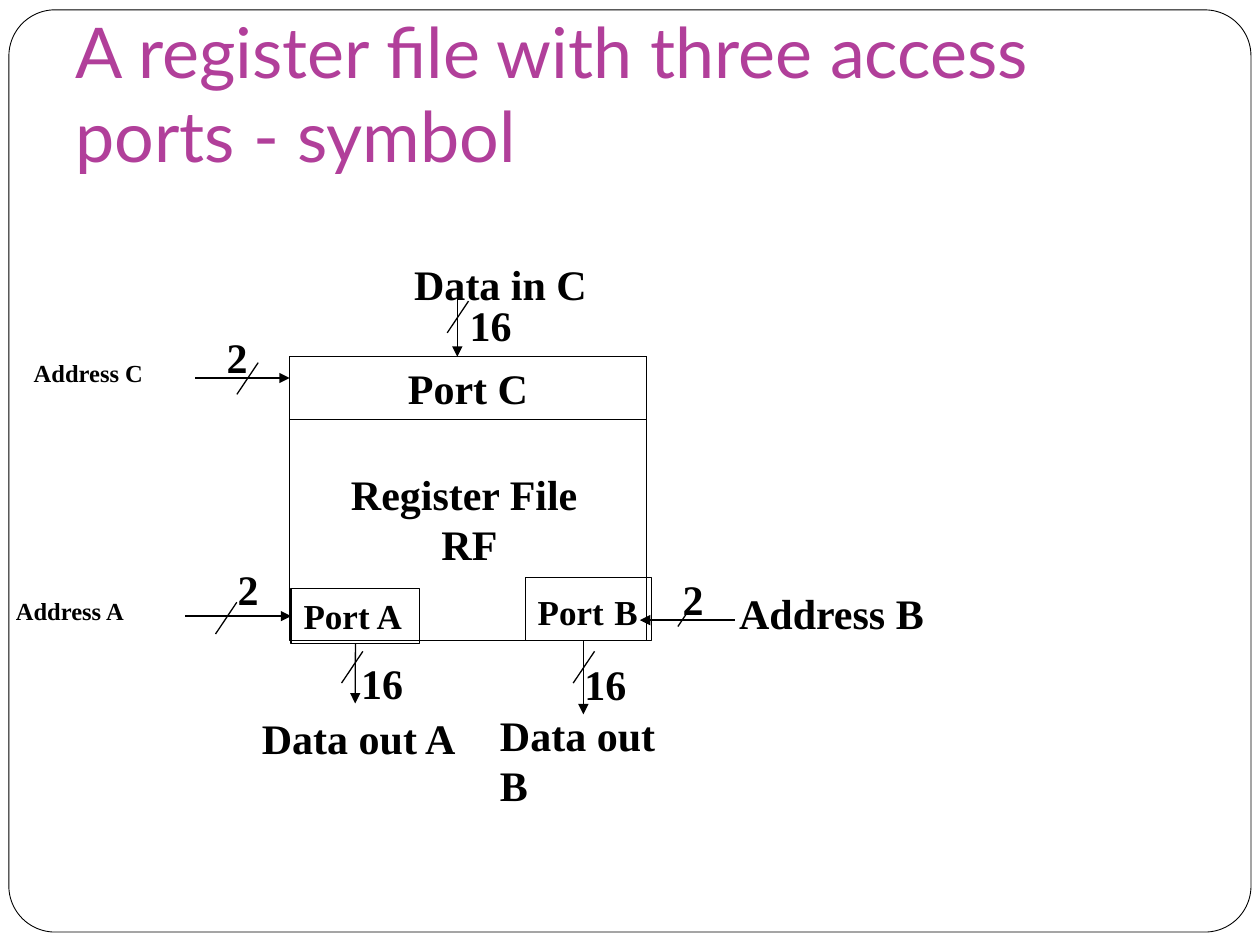
from lxml.etree import SubElement
from pptx import Presentation
from pptx.dml.color import RGBColor
from pptx.enum.shapes import MSO_CONNECTOR, MSO_SHAPE
from pptx.enum.text import MSO_ANCHOR, MSO_AUTO_SIZE, PP_ALIGN
from pptx.oxml.ns import qn
from pptx.util import Cm, Pt

BLACK = RGBColor(0x00, 0x00, 0x00)
WHITE = RGBColor(0xFF, 0xFF, 0xFF)
MAGENTA = RGBColor(0xB1, 0x3F, 0x9A)
LEFT, BOTTOM = 1, 2
SLASH_WIDTH, SLASH_HEIGHT = 0.43, 0.64


def write(shape, text, size=24, font="Times New Roman", color=BLACK, bold=True,
          align=PP_ALIGN.LEFT, new_paragraph=False):
    """Append a formatted run to the last paragraph of a shape, or to a new one."""
    frame = shape.text_frame
    paragraph = frame.add_paragraph() if new_paragraph else frame.paragraphs[-1]
    paragraph.alignment = align
    run = paragraph.add_run()
    run.text = text
    run.font.name = font
    run.font.size = Pt(size)
    run.font.bold = bold
    run.font.color.rgb = color


def add_label(slide, left, top, width, height, text, **style):
    """Add an unwrapped text box and return it."""
    label = slide.shapes.add_textbox(Cm(left), Cm(top), Cm(width), Cm(height))
    label.text_frame.word_wrap = False
    write(label, text, **style)
    return label


def add_block(slide, left, top, width, height, kind=MSO_SHAPE.RECTANGLE, line_width=0.75):
    """Add an unfilled outlined shape whose text starts at the top."""
    block = slide.shapes.add_shape(kind, Cm(left), Cm(top), Cm(width), Cm(height))
    block.shadow.inherit = False
    block.fill.background()
    block.line.color.rgb = BLACK
    block.line.width = Pt(line_width)
    block.text_frame.vertical_anchor = MSO_ANCHOR.TOP
    return block


def add_line(slide, start, end, arrow=False):
    """Add a thin straight line, with an arrowhead at its end if asked."""
    line = slide.shapes.add_connector(
        MSO_CONNECTOR.STRAIGHT, *(Cm(value) for value in (*start, *end)))
    line.line.color.rgb = BLACK
    line.line.width = Pt(0.75)
    if arrow:
        SubElement(line.line._get_or_add_ln(), qn("a:tailEnd"), type="triangle")
    SubElement(line.element.spPr, qn("a:effectLst"))
    return line


def add_bus(slide, left, top, start, end, slash, bits, bits_at):
    """Add a bus arrow with its slash and bit count, offset from a corner."""
    def place(point):
        return left + point[0], top + point[1]

    x, y = place(slash)
    dx, dy = SLASH_WIDTH / 2, SLASH_HEIGHT / 2
    arrow = add_line(slide, place(start), place(end), arrow=True)
    add_line(slide, (x + dx, y - dy), (x - dx, y + dy))
    add_label(slide, *place(bits_at), 0.91 if bits < 10 else 1.35, 1.27, str(bits))
    return arrow


def add_title(slide, left, top, width, height):
    """Fill and place the title placeholder."""
    title = slide.shapes.title
    title.left, title.top, title.width, title.height = (
        Cm(value) for value in (left, top, width, height))
    frame = title.text_frame
    frame.auto_size = MSO_AUTO_SIZE.NONE
    frame.word_wrap = True
    frame.vertical_anchor = MSO_ANCHOR.BOTTOM
    frame.margin_bottom = Cm(0.25)
    write(title, "A register file with three access ports - symbol",
          size=40, font="Lato", color=MAGENTA, bold=False)


def add_page_frame(slide, left, top, width, height):
    """Add the rounded page border behind the title."""
    border = add_block(slide, left, top, width, height, MSO_SHAPE.ROUNDED_RECTANGLE, 0.5)
    border.adjustments[0] = 0.05
    border.fill.solid()
    border.fill.fore_color.rgb = WHITE
    slide.shapes.title.element.addprevious(border.element)


def add_register_file(slide, left, top, width, height):
    """Draw the register file in its box, with the ports and buses around it."""
    port_c = add_block(slide, left, top, width, 1.27)
    write(port_c, "Port C", align=PP_ALIGN.CENTER)
    port_a = add_block(slide, left + 0.03, top + 4.67, 2.59, 1.12)
    write(port_a, "Port A", size=20)
    port_b = add_block(slide, left + 4.75, top + 4.45, 2.54, 1.27)
    for text, size in (("Port", 20), (" ", 24), ("B", 20)):
        write(port_b, text, size=size)
    add_block(slide, left, top, width, height)

    name = add_label(slide, left + 0.97, top + 2.13, 5.31, 2.29,
                     "Register File ", align=PP_ALIGN.CENTER)
    write(name, "RF", align=PP_ALIGN.CENTER, new_paragraph=True)

    address_a = add_bus(slide, left, top, (-2.11, 5.23), (0.03, 5.23),
                        (-1.28, 5.27), 2, (-1.3, 4.04))
    address_a.end_connect(port_a, LEFT)
    data_out_a = add_bus(slide, left, top, (1.32, 5.79), (1.32, 6.99),
                         (1.26, 6.26), 16, (1.19, 5.94))
    data_out_a.begin_connect(port_a, BOTTOM)
    for bus in (
        ((-1.9, 0.43), (0, 0.43), (-0.85, 0.44), 2, (-1.52, -0.64)),
        ((8.97, 5.31), (7.06, 5.31), (8.04, 5.12), 2, (7.67, 4.24)),
        ((5.92, height), (5.92, 7.21), (5.93, 6.26), 16, (5.69, 5.97)),
        ((3.38, -1.27), (3.38, 0), (3.39, -0.8), 16, (3.38, -1.27)),
    ):
        add_bus(slide, left, top, *bus)

    for text, x, y, label_width, label_height, size in (
        ("Address A", -5.77, 4.7, 2.72, 0.86, 14),
        ("Address B", 8.81, 4.52, 4.24, 1.27, 24),
        ("Address C", -5.41, -0.1, 2.95, 0.86, 14),
        ("Data out A", -0.81, 7.04, 4.45, 1.27, 24),
        ("Data out B", 3.99, 6.99, 4.39, 1.27, 24),
        ("Data in C", 2.26, -2.11, 3.99, 1.27, 24),
    ):
        add_label(slide, left + x, top + y, label_width, label_height, text, size=size)


def main():
    """Build the slide and save it."""
    deck = Presentation()
    deck.slide_width, deck.slide_height = Cm(25.4), Cm(19.05)
    slide = deck.slides.add_slide(deck.slide_layouts[5])
    add_title(slide, 1.27, 0.43, 22.86, 3.38)
    add_page_frame(slide, 0.18, 0.2, 25.04, 18.59)
    add_register_file(slide, 5.84, 7.19, 7.19, 5.72)
    deck.save("out.pptx")


if __name__ == "__main__":
    main()
